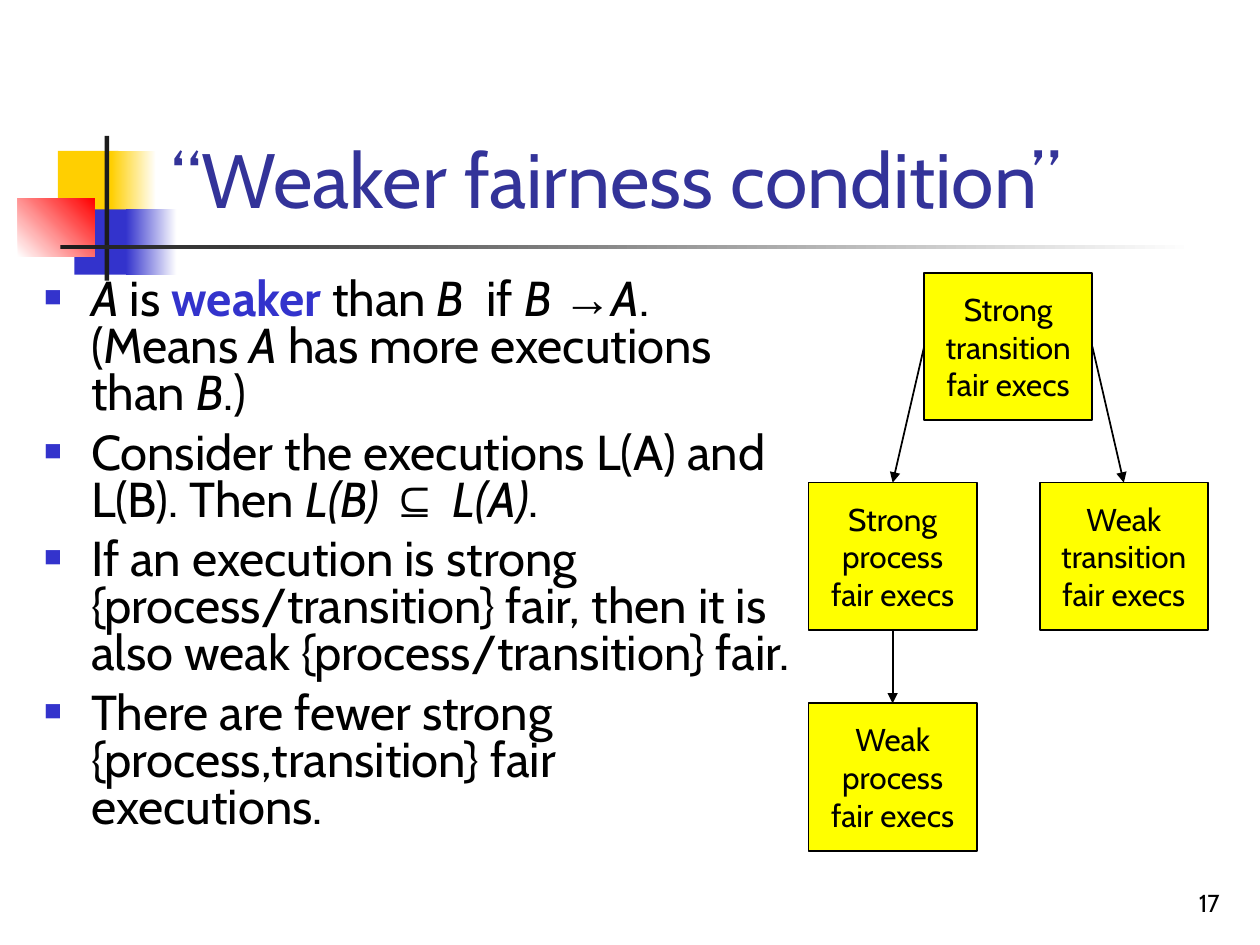
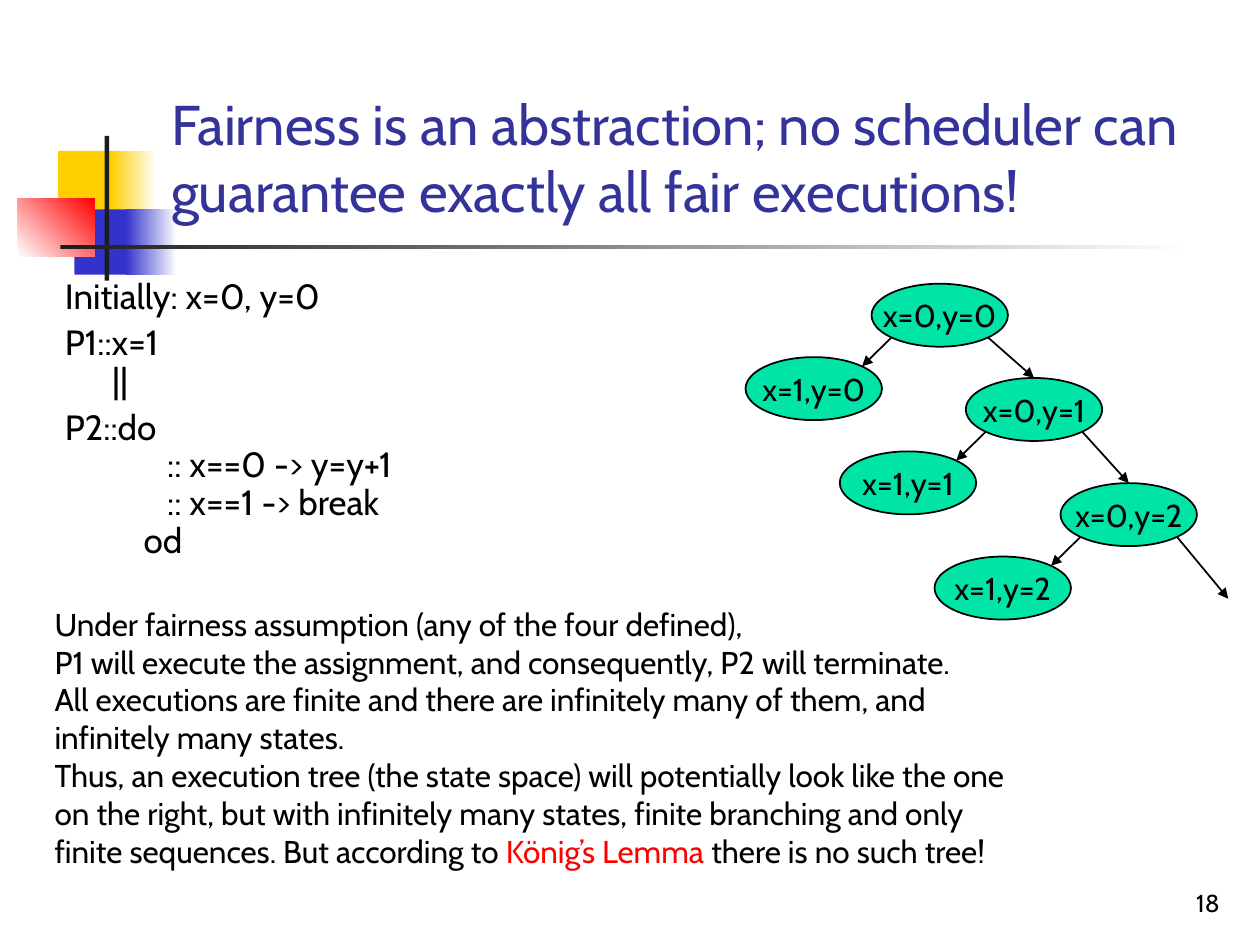
from lxml import etree
from pptx import Presentation
from pptx import util as u
from pptx.dml.color import RGBColor
from pptx.enum import shapes, text
from pptx.oxml.ns import qn

COLORS = {
    "black": "000000", "white": "FFFFFF", "ink": "1C1C1C", "title": "333399",
    "blue": "3333CC", "gold": "FFCF01", "red": "FF0000",
    "box": "FFFF00", "state": "00E4A8",
}
FONT = "Cabin"
SYMBOL_FONT = "Arial"
ITALIC = {"italic": True}
SYMBOL = {"font": SYMBOL_FONT}
RECTANGLE = shapes.MSO_SHAPE.RECTANGLE
OVAL = shapes.MSO_SHAPE.OVAL
TOP, LEFT, BOTTOM, RIGHT = range(4)


def rgb(name):
    return RGBColor.from_string(COLORS[name])


# ---- Text ----
def add_bullet(paragraph):
    properties = paragraph._p.get_or_add_pPr()
    color = etree.SubElement(properties, qn("a:buClr"))
    etree.SubElement(color, qn("a:srgbClr"), val=COLORS["blue"])
    etree.SubElement(properties, qn("a:buSzPct"), val="60000")
    etree.SubElement(properties, qn("a:buFont"), typeface=SYMBOL_FONT)
    etree.SubElement(properties, qn("a:buChar"), char="■")


def add_run(paragraph, words, size, color, font=FONT, bold=False, italic=False):
    for index, line in enumerate(words.split("\n")):
        if index:
            paragraph.add_line_break()
        if line:
            run = paragraph.add_run()
            run.text = line
            run.font.name = font
            run.font.size = u.Pt(size)
            run.font.bold = bold
            run.font.italic = italic
            run.font.color.rgb = rgb(color)


def write_text(shape, paragraphs, size=18, color="black", align="LEFT", anchor="TOP",
               wrap=True, line_spacing=None, space_before=0, hanging=0, bullet=False):
    """Each paragraph is a string or a list of strings and (string, format) pairs."""
    frame = shape.text_frame
    frame.word_wrap = wrap
    frame.vertical_anchor = text.MSO_ANCHOR[anchor]
    for index, runs in enumerate(paragraphs):
        paragraph = frame.add_paragraph() if index else frame.paragraphs[0]
        if hanging:
            properties = paragraph._p.get_or_add_pPr()
            properties.set("marL", str(u.Cm(hanging)))
            properties.set("indent", str(-u.Cm(hanging)))
        if bullet:
            add_bullet(paragraph)
        paragraph.alignment = text.PP_ALIGN[align]
        if line_spacing:
            paragraph.line_spacing = line_spacing
        paragraph.space_before = u.Pt(space_before if index else 0)
        for run in [runs] if isinstance(runs, str) else runs:
            words, extra = (run, {}) if isinstance(run, str) else run
            add_run(paragraph, words, **{"size": size, "color": color, **extra})


def add_text(slide, box, paragraphs, **text_format):
    shape = slide.shapes.add_textbox(*map(u.Cm, box))
    write_text(shape, paragraphs, **text_format)


# ---- Shapes ----
def add_block(slide, box, fill, fade_to=None, angle=0, kind=RECTANGLE):
    shape = slide.shapes.add_shape(kind, *map(u.Cm, box))
    shape.shadow.inherit = False
    shape.line.fill.background()
    if fade_to:
        shape.fill.gradient()
        shape.fill.gradient_angle = angle
        for stop, color in zip(shape.fill.gradient_stops, (fill, fade_to)):
            stop.color.rgb = rgb(color)
    else:
        shape.fill.solid()
        shape.fill.fore_color.rgb = rgb(fill)
    return shape


def add_node(slide, box, label, fill, kind=RECTANGLE):
    node = add_block(slide, box, fill, kind=kind)
    node.line.color.rgb = rgb("black")
    node.line.width = u.Pt(1)
    write_text(node, [label], align="CENTER", anchor="MIDDLE", wrap=False)
    return node


def add_arrow(slide, start=(0, 0), end=(0, 0)):
    arrow = slide.shapes.add_connector(
        shapes.MSO_CONNECTOR.STRAIGHT, *map(u.Cm, (*start, *end)))
    arrow.line.color.rgb = rgb("black")
    arrow.line.width = u.Pt(1)
    properties = arrow.element.spPr
    etree.SubElement(properties.find(qn("a:ln")), qn("a:tailEnd"), type="triangle")
    etree.SubElement(properties, qn("a:effectLst"))
    return arrow


# ---- Shared frame ----
def add_ornament(slide, left, top):
    for x, y, width, height, *fill in (
        (0.81, 0.3, 1.22, 1.32, "gold"),
        (1.88, 0.3, 0.91, 1.32, "gold", "white"),
        (1.14, 1.48, 1.17, 1.32, "blue"),
        (2.18, 1.48, 1.02, 1.32, "blue", "white"),
        (0, 1.26, 1.55, 1.18, "white", "red", 45),
        (1.75, 0, 0.09, 2.92, "ink"),
        (0.86, 2.2, 22.86, 0.09, "ink", "white"),
    ):
        add_block(slide, (left + x, top + y, width, height), *fill)


def add_framed_slide(presentation, title, title_size, number):
    slide = presentation.slides.add_slide(presentation.slide_layouts[6])
    add_ornament(slide, 0.36, 2.74)
    add_text(slide, (19.56, 17.35, 5.28, 1.27), [str(number)],
             size=14, align="RIGHT", anchor="BOTTOM")
    add_text(slide, (3.2, 0.58, 21.64, 4.06), [title],
             size=title_size, color="title", anchor="BOTTOM")
    return slide


# ---- Weaker fairness ----
def add_fairness_diagram(slide, left, top):
    width, height = 3.39, 2.97
    column, rows = 4.66, (0, 4.23, 8.68)

    def add_box(column_index, row_index, label):
        box = (left + column_index * column, top + rows[row_index], width, height)
        return add_node(slide, box, label, "box")

    strong_transition = add_box(0.5, 0, "Strong\ntransition\nfair execs")
    weak_process = add_box(0, 2, "Weak\nprocess\nfair execs")
    weak_transition = add_box(1, 1, "Weak\ntransition\nfair execs")
    strong_process = add_box(0, 1, "Strong\nprocess\nfair execs")

    for source, side, target in (
        (strong_transition, LEFT, strong_process),
        (strong_transition, RIGHT, weak_transition),
        (strong_process, BOTTOM, weak_process),
    ):
        arrow = add_arrow(slide)
        arrow.begin_connect(source, side)
        arrow.end_connect(target, TOP)


def build_weaker_slide(presentation):
    slide = add_framed_slide(presentation, "“Weaker fairness condition”", 44, 17)
    add_text(slide, (0.64, 5.5, 15.67, 12.9), [
        [("A", ITALIC), " is ", ("weaker", {"color": "blue", "bold": True}), " than ",
         ("B", ITALIC), "  if ", ("B ", ITALIC), ("→", {**SYMBOL, **ITALIC}),
         ("A", ITALIC), ".\n(Means ", ("A", ITALIC), " has more executions than ",
         ("B", ITALIC), ".)"],
        ["Consider the executions L(A) and L(B). Then ", ("L(B) ", ITALIC),
         ("⊆ ", SYMBOL), ("L(A)", ITALIC), "."],
        "If an execution is strong {process/transition} fair, then it is also weak "
        "{process/transition} fair.",
        "There are fewer strong {process,transition} fair executions.",
    ], size=28, line_spacing=0.8, space_before=7, hanging=0.95, bullet=True)
    add_fairness_diagram(slide, 16.3, 5.5)


# ---- Execution tree ----
def add_execution_tree(slide, left, top):
    width, height = 2.75, 1.27
    leaf_dx, leaf_dy = -2.54, 1.48
    spine = [(left - leaf_dx + x, top + y) for x, y in ((0, 0), (1.9, 1.9), (3.81, 4.02))]
    leaves = [(x + leaf_dx, y + leaf_dy) for x, y in spine]
    near, far = 0.146, 0.854  # diagonal points of an ellipse, as shares of its box

    def point(corner, across, down):
        return corner[0] + across * width, corner[1] + down * height

    for x_value, corners in enumerate((spine, leaves)):
        for y_value, corner in enumerate(corners):
            add_node(slide, (*corner, width, height), f"x={x_value},y={y_value}",
                     "state", OVAL)

    spine_ends = [point(corner, 0.5, 0) for corner in spine[1:]]
    spine_ends.append((left + 9.73, top + 6.35))
    for parent, leaf, spine_end in zip(spine, leaves, spine_ends):
        add_arrow(slide, point(parent, near, far), point(leaf, far, near))
        add_arrow(slide, point(parent, far, far), spine_end)


def build_abstraction_slide(presentation):
    slide = add_framed_slide(
        presentation,
        "Fairness is an abstraction; no scheduler can guarantee exactly all fair executions!",
        32, 18)
    add_text(slide, (1.06, 5.5, 10.8, 6.14), [
        "Initially: x=0, y=0",
        "P1::x=1\n||",
        "P2::do\n       :: x==0 -> y=y+1\n       :: x==1 -> break\n    od",
    ], size=20, line_spacing=0.9, space_before=5, hanging=0.95)
    add_execution_tree(slide, 15.03, 5.72)
    add_text(slide, (0.85, 12.07, 20.32, 7.11), [[
        "Under fairness assumption (any of the four defined),\n"
        "P1 will execute the assignment, and consequently, P2 will terminate. \n"
        "All executions are finite and there are infinitely many of them, and "
        "infinitely many states. \n"
        "Thus, an execution tree (the state space) will potentially look like the one "
        "on the right, but with infinitely many states, finite branching and only "
        "finite sequences. But according to ",
        ("König’s Lemma", {"color": "red"}),
        " there is no such tree!",
    ]])


def main():
    presentation = Presentation()
    presentation.slide_width = u.Cm(25.4)
    presentation.slide_height = u.Cm(19.05)
    build_weaker_slide(presentation)
    build_abstraction_slide(presentation)
    presentation.save("out.pptx")


if __name__ == "__main__":
    main()
